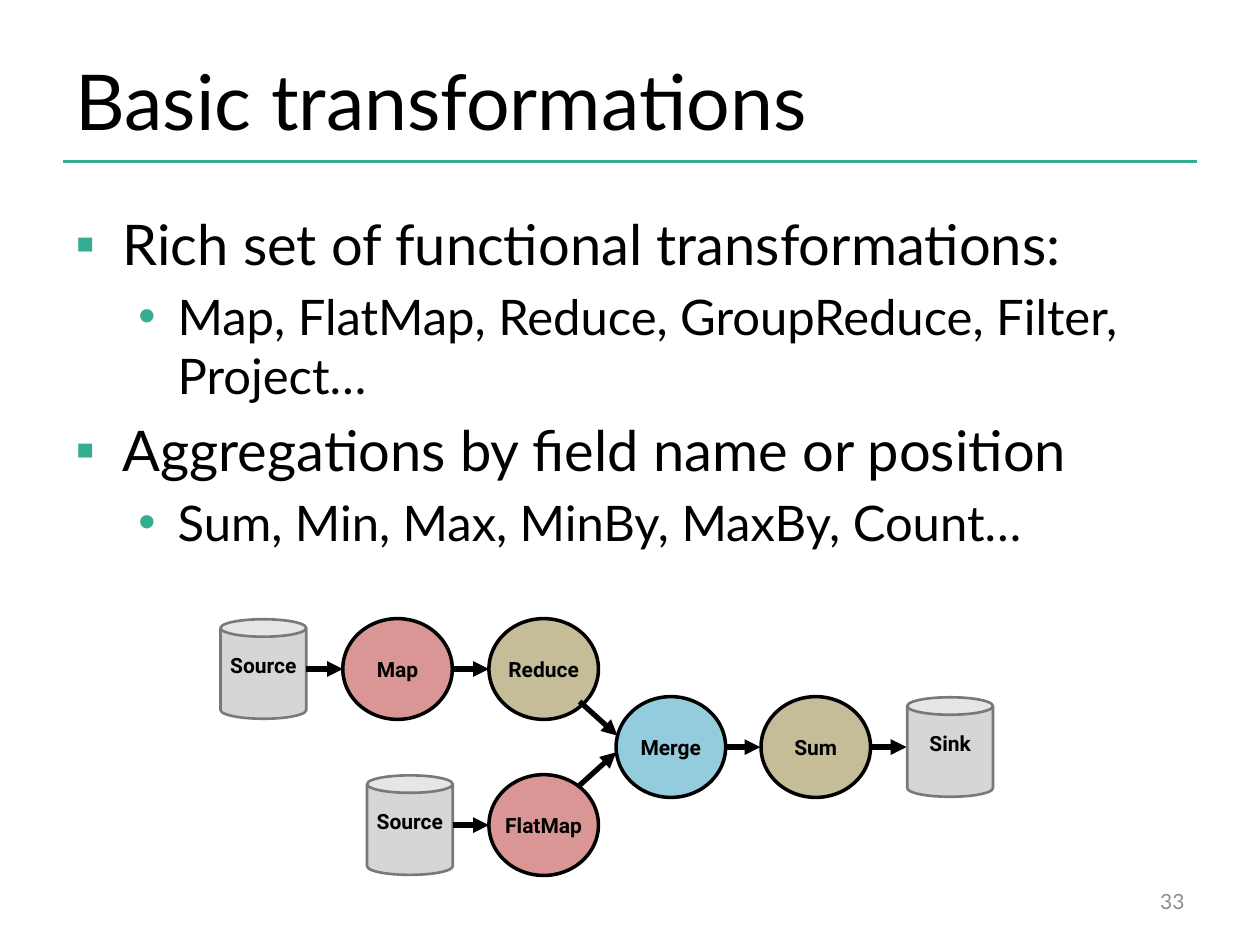
import lxml.etree
import pptx
import pptx.dml.color
import pptx.enum.shapes
import pptx.enum.text
import pptx.oxml.ns
import pptx.util

Pt = pptx.util.Pt
qn = pptx.oxml.ns.qn
SHAPES = pptx.enum.shapes.MSO_SHAPE
ALIGN = pptx.enum.text.PP_ALIGN
ANCHOR = pptx.enum.text.MSO_ANCHOR

COLORS = {
    "accent": "34AD91",
    "ink": "000000",
    "number": "8C8C8C",
    "map": "D99694",
    "reduce": "C4BD97",
    "merge": "93CDDD",
    "store": "D6D6D6",
    "store_edge": "797979",
}


def rgb(name):
    """Return the named colour."""
    return pptx.dml.color.RGBColor.from_string(COLORS[name])


def add_child(parent, tag, **attributes):
    """Append a DrawingML element to its parent."""
    return lxml.etree.SubElement(parent, qn(tag), attributes)


def write(paragraph, text, size=12, font="Lato", color="ink", bold=False, align=ALIGN.LEFT, before=0):
    """Put formatted text into a paragraph."""
    paragraph.alignment = align
    paragraph.space_before = Pt(before)
    run = paragraph.add_run()
    run.text = text
    run.font.size = Pt(size)
    run.font.name = font
    run.font.bold = bold
    run.font.color.rgb = rgb(color)


class FlowSlide:
    """Hold the style and the current slide."""

    operator_size = (62.6, 57.6)
    store_size = (49, 56.9)
    lid_height = 10
    inset = 2.9

    def __init__(self, slide):
        self.slide = slide

    def text_area(self, left, top, width, height, anchor=ANCHOR.MIDDLE):
        """Add an empty wrapping text box and return its frame."""
        area = self.slide.shapes.add_textbox(Pt(left), Pt(top), Pt(width), Pt(height))
        frame = area.text_frame
        frame.word_wrap = True
        frame.vertical_anchor = anchor
        return frame

    def bullets(self, frame, items):
        """Fill a frame with two levels of bulleted text."""
        levels = [("▪", 32, 27, 27), ("•", 28, 58.5, 22.5)]
        for index, (level, text) in enumerate(items):
            mark, size, margin, hanging = levels[level]
            paragraph = frame.add_paragraph() if index else frame.paragraphs[0]
            paragraph.level = level
            write(paragraph, text, size=size, before=size * 0.2 if index else 0)
            properties = paragraph._p.get_or_add_pPr()
            properties.set("marL", str(Pt(margin)))
            properties.set("indent", str(-Pt(hanging)))
            bullet_color = add_child(properties, "a:buClr")
            add_child(bullet_color, "a:srgbClr", val=COLORS["accent"])
            add_child(properties, "a:buFont", typeface="Arial")
            add_child(properties, "a:buChar", char=mark)

    def line(self, start, end, color="ink", width=3, arrow=True):
        """Draw a straight line, with an arrowhead if wanted."""
        connector = self.slide.shapes.add_connector(
            pptx.enum.shapes.MSO_CONNECTOR.STRAIGHT, *map(Pt, start + end))
        connector.line.color.rgb = rgb(color)
        connector.line.width = Pt(width)
        if arrow:
            add_child(connector.line._get_or_add_ln(), "a:tailEnd", type="triangle")
        add_child(connector._element.spPr, "a:effectLst")

    def node(self, preset, label, center, size, fill, edge, edge_width):
        """Draw a labelled shape around its centre."""
        (x, y), (width, height) = center, size
        node = self.slide.shapes.add_shape(
            preset, Pt(x - width / 2), Pt(y - height / 2), Pt(width), Pt(height))
        node.shadow.inherit = False
        node.fill.solid()
        node.fill.fore_color.rgb = rgb(fill)
        node.line.color.rgb = rgb(edge)
        node.line.width = Pt(edge_width)
        frame = node.text_frame
        frame.word_wrap = False
        frame.vertical_anchor = ANCHOR.MIDDLE
        frame.margin_left = frame.margin_right = Pt(self.inset)
        frame.margin_top = frame.margin_bottom = Pt(self.inset)
        write(frame.paragraphs[0], label, font="Roboto", bold=True, align=ALIGN.CENTER)
        return node

    def operator(self, label, center, fill):
        """Draw a round operator."""
        self.node(SHAPES.OVAL, label, center, self.operator_size, fill, "ink", 2)

    def store(self, label, center):
        """Draw a cylinder with its label at mid-height."""
        store = self.node(SHAPES.CAN, label, center, self.store_size, "store", "store_edge", 1.5)
        store.adjustments[0] = self.lid_height / self.store_size[0]
        store.text_frame.margin_bottom = Pt(self.inset + self.lid_height)


def main():
    """Build the slide and save it."""
    deck = pptx.Presentation()
    deck.slide_width, deck.slide_height = Pt(720), Pt(540)
    page = FlowSlide(deck.slides.add_slide(deck.slide_layouts[6]))

    page.line((36, 92.2), (684, 92.2), color="accent", width=2, arrow=False)
    title = page.text_area(36, 21.6, 588, 70.6)
    write(title.paragraphs[0], "Basic transformations", size=44)
    page.bullets(page.text_area(36, 116, 648, 366, ANCHOR.TOP), [
        (0, "Rich set of functional transformations:"),
        (1, "Map, FlatMap, Reduce, GroupReduce, Filter, Project…"),
        (0, "Aggregations by field name or position"),
        (1, "Sum, Min, Max, MinBy, MaxBy, Count…"),
    ])

    upper, middle, lower = (382.3 + 44.6 * row for row in range(3))
    operators = [
        ("Map", (227.2, upper), "map"),
        ("Reduce", (310.7, upper), "reduce"),
        ("FlatMap", (310.7, lower), "map"),
        ("Merge", (383.4, middle), "merge"),
        ("Sum", (466.2, middle), "reduce"),
    ]
    stores = [("Source", (150.5, upper)), ("Source", (234.2, lower)), ("Sink", (542.9, middle))]
    for label, center, fill in operators:
        page.operator(label, center, fill)
    for label, center in stores:
        page.store(label, center)

    flows = [(175, 195.9, upper), (258.5, 279.4, upper), (258.7, 279.4, lower),
             (413.5, 434.5, middle), (497, 518, middle)]
    for start, end, row in flows:
        page.line((start, row), (end, row))
    page.line((331.2, middle - 26), (352.8, middle - 6.5))
    page.line((330.5, middle + 22.5), (352.1, middle + 3))

    number = page.text_area(516.2, 500.4, 167.8, 28.8)
    write(number.paragraphs[0], "33", color="number", align=ALIGN.RIGHT)
    deck.save("out.pptx")


if __name__ == "__main__":
    main()
